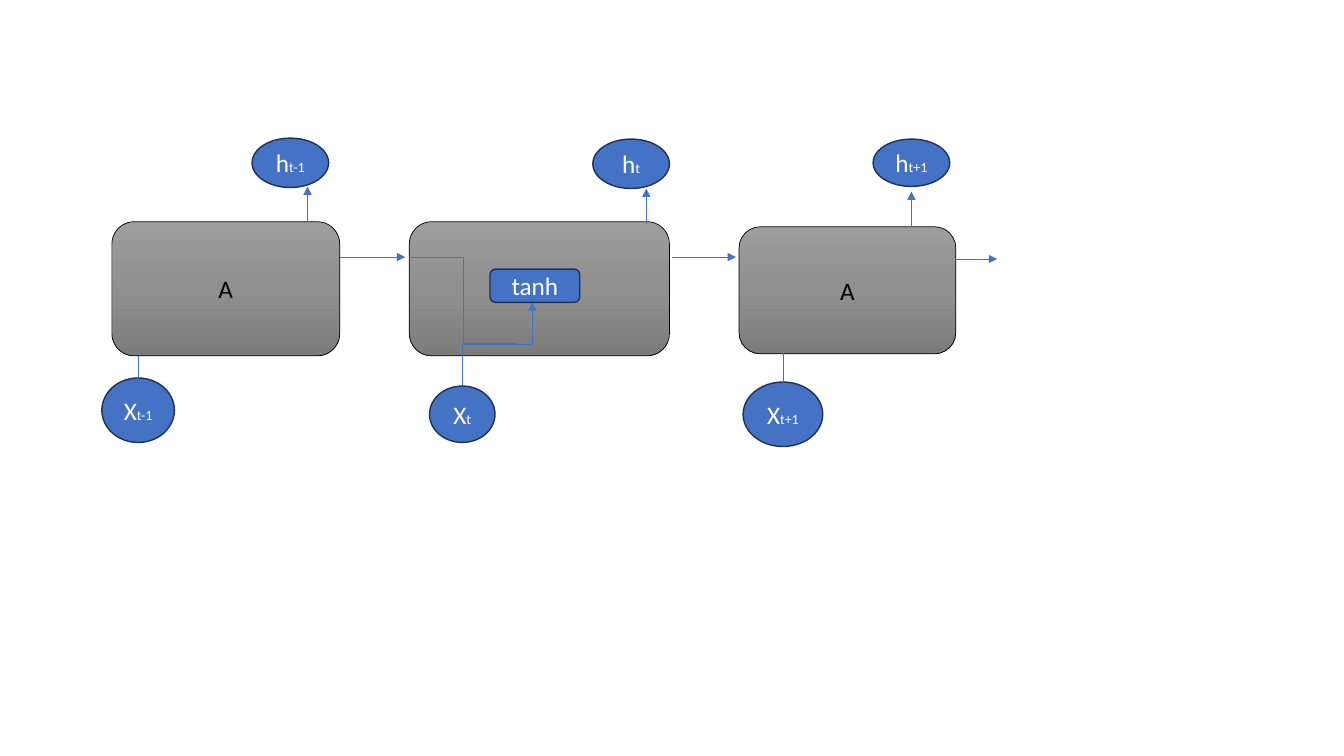
from copy import deepcopy
from dataclasses import dataclass

from pptx import Presentation
from pptx import util as u
from pptx.dml.color import RGBColor
from pptx.enum import shapes, text
from pptx.oxml import ns
from pptx.oxml.xmlchemy import OxmlElement

BLUE, NAVY, BLACK, WHITE = "4472C4", "1E3256", "000000", "FFFFFF"
CELL_GRADIENT = [(0, "9D9D9D"), (0.5, "909090"), (1, "7C7C7C")]
FONT = "Calibri"
ROUNDED = shapes.MSO_SHAPE.ROUNDED_RECTANGLE
OVAL = shapes.MSO_SHAPE.OVAL
STRAIGHT = shapes.MSO_CONNECTOR.STRAIGHT
ELBOW = shapes.MSO_CONNECTOR.ELBOW


@dataclass
class Node:
    left: float
    top: float
    width: float
    height: float
    label: str = ""
    index: str = ""


@dataclass
class Link:
    start: tuple[float, float]
    end: tuple[float, float]
    arrow: bool = True
    kind: int = STRAIGHT
    leaves_vertically: bool = False


CELLS = [
    Node(1.11, 2.2, 2.26, 1.33, "A"),
    Node(4.06, 2.2, 2.58, 1.33),
    Node(7.33, 2.25, 2.15, 1.26, "A"),
]
STATES = [
    Node(1.01, 3.75, 0.72, 0.64, "X", "t-1"),
    Node(4.26, 3.83, 0.65, 0.56, "X", "t"),
    Node(7.37, 3.79, 0.79, 0.64, "X", "t+1"),
    Node(2.5, 1.37, 0.76, 0.49, "h", "t-1"),
    Node(5.88, 1.38, 0.76, 0.49, "h", "t"),
    Node(8.66, 1.38, 0.76, 0.47, "h", "t+1"),
]
ACTIVATION = Node(4.86, 2.67, 0.89, 0.33, "tanh")
LINKS = [
    Link((3.05, 2.2), (3.05, 1.85)),
    Link((6.41, 2.22), (6.41, 1.87)),
    Link((9.04, 2.25), (9.04, 1.9)),
    Link((1.37, 3.53), (1.37, 3.75), arrow=False),
    Link((7.77, 3.5), (7.77, 3.78), arrow=False),
    Link((3.37, 2.55), (4.02, 2.55)),
    Link((6.67, 2.55), (7.3, 2.55)),
    Link((9.47, 2.57), (9.89, 2.57)),
    Link((4.59, 3.83), (5.28, 3), kind=ELBOW, leaves_vertically=True),
    Link((4.06, 2.55), (5.13, 3.41), arrow=False, kind=ELBOW),
]


def color(value: str) -> RGBColor:
    return RGBColor.from_string(value)


def fill_with_gradient(shape) -> None:
    shape.fill.gradient()
    shape.fill.gradient_angle = 270
    stop_list = shape._element.find(".//" + ns.qn("a:gsLst"))
    stop_list.append(deepcopy(stop_list[0]))
    for stop, (position, value) in zip(shape.fill.gradient_stops, CELL_GRADIENT):
        stop.position = position
        stop.color.rgb = color(value)


def add_node(slide, node: Node, preset: int, font_color: str, line_color: str, line_width: float):
    shape = slide.shapes.add_shape(
        preset, *map(u.Inches, (node.left, node.top, node.width, node.height))
    )
    shape.shadow.inherit = False
    shape.fill.solid()
    shape.fill.fore_color.rgb = color(BLUE)
    shape.line.color.rgb = color(line_color)
    shape.line.width = u.Pt(line_width)
    frame = shape.text_frame
    frame.word_wrap = False
    frame.vertical_anchor = text.MSO_ANCHOR.MIDDLE
    paragraph = frame.paragraphs[0]
    paragraph.alignment = text.PP_ALIGN.CENTER
    for content, size in ((node.label, 18), (node.index, 10)):
        if content:
            run = paragraph.add_run()
            run.text = content
            run.font.name = FONT
            run.font.size = u.Pt(size)
            run.font.color.rgb = color(font_color)
    return shape


def quarter_turn_back(link: Link) -> tuple[tuple[float, float], tuple[float, float]]:
    """Return the end points turned 90 degrees counterclockwise about their middle."""
    middle_x = (link.start[0] + link.end[0]) / 2
    middle_y = (link.start[1] + link.end[1]) / 2
    start, end = (
        (middle_x + y - middle_y, middle_y - x + middle_x) for x, y in (link.start, link.end)
    )
    return start, end


def add_link(slide, link: Link) -> None:
    start, end = quarter_turn_back(link) if link.leaves_vertically else (link.start, link.end)
    connector = slide.shapes.add_connector(link.kind, *map(u.Inches, (*start, *end)))
    connector.line.color.rgb = color(BLUE)
    connector.line.width = u.Pt(0.5)
    properties = connector._element.spPr
    if link.leaves_vertically:
        properties.find(ns.qn("a:xfrm")).set("rot", str(90 * 60000))
    if link.arrow:
        arrowhead = OxmlElement("a:tailEnd")
        arrowhead.set("type", "triangle")
        properties.find(ns.qn("a:ln")).append(arrowhead)
    properties.append(OxmlElement("a:effectLst"))


def main() -> None:
    presentation = Presentation()
    presentation.slide_width = u.Inches(13.33)
    presentation.slide_height = u.Inches(7.5)
    slide = presentation.slides.add_slide(presentation.slide_layouts[6])
    for cell in CELLS:
        fill_with_gradient(add_node(slide, cell, ROUNDED, BLACK, BLACK, 0.5))
    for link in LINKS:
        add_link(slide, link)
    for state in STATES:
        add_node(slide, state, OVAL, WHITE, NAVY, 1)
    add_node(slide, ACTIVATION, ROUNDED, WHITE, NAVY, 1)
    presentation.save("out.pptx")


if __name__ == "__main__":
    main()
